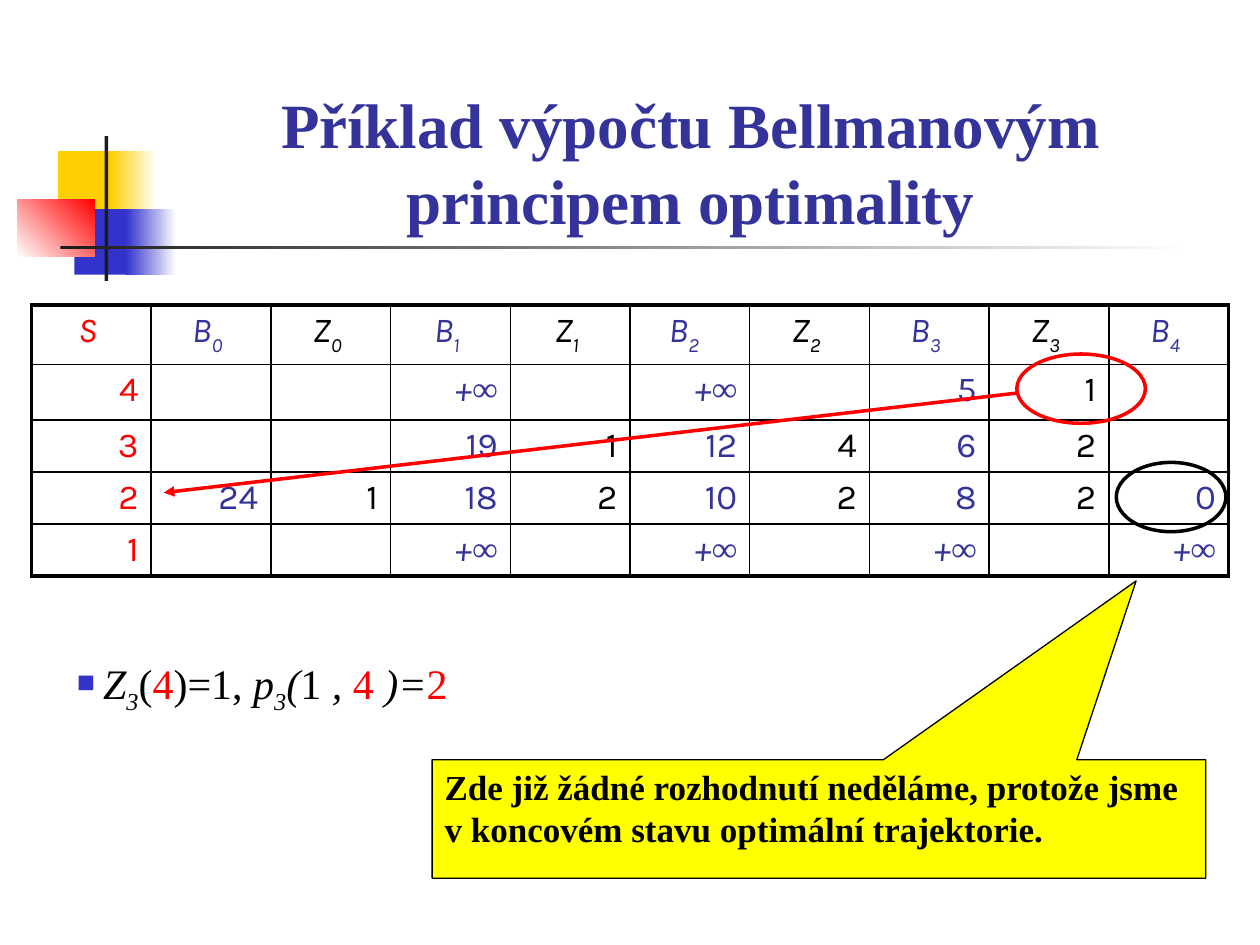
import pptx
import pptx.util
import pptx.dml.color
import pptx.enum.shapes
import pptx.enum.text
import pptx.oxml
import pptx.oxml.ns

Inches = pptx.util.Inches
Pt = pptx.util.Pt
SHAPE = pptx.enum.shapes.MSO_SHAPE
ALIGN = pptx.enum.text.PP_ALIGN
ANCHOR = pptx.enum.text.MSO_ANCHOR
NAMESPACE = pptx.oxml.ns.nsdecls("a")
SERIF = "Times New Roman"
BLACK, RED, BLUE, NAVY = "000000", "FF0000", "3333CC", "333399"


def color(value):
    return pptx.dml.color.RGBColor.from_string(value)


def add_run(paragraph, text, size, font, fill, bold=False, italic=False, baseline=0):
    run = paragraph.add_run()
    run.text = text
    run.font.size = Pt(size)
    run.font.name = font
    run.font.bold = bold
    run.font.italic = italic
    run.font.color.rgb = color(fill)
    if baseline:
        run.font._element.set("baseline", str(baseline * 1000))


presentation = pptx.Presentation()
presentation.slide_width = Inches(10)
presentation.slide_height = Inches(7.5)
slide = presentation.slides.add_slide(presentation.slide_layouts[6])
shapes = slide.shapes

decorations = [
    (0.46, 1.2, 0.48, 0.52, ["FFCF01"], 0),
    (0.88, 1.2, 0.36, 0.52, ["FFCF01", "FFFFFF"], 0),
    (0.59, 1.66, 0.46, 0.52, [BLUE], 0),
    (1, 1.66, 0.4, 0.52, [BLUE, "FFFFFF"], 0),
    (0.14, 1.58, 0.61, 0.46, ["FFFFFF", RED], 45),
    (0.83, 1.08, 0.03, 1.15, ["1C1C1C"], 0),
    (0.48, 1.95, 9, 0.03, ["1C1C1C", "FFFFFF"], 0),
]
for left, top, width, height, colors, angle in decorations:
    block = shapes.add_shape(SHAPE.RECTANGLE, Inches(left), Inches(top), Inches(width), Inches(height))
    block.shadow.inherit = False
    block.line.fill.background()
    if len(colors) == 1:
        block.fill.solid()
        block.fill.fore_color.rgb = color(colors[0])
    else:
        block.fill.gradient()
        block.fill.gradient_angle = angle
        for stop, value in zip(block.fill.gradient_stops, colors):
            stop.color.rgb = color(value)

title = shapes.add_textbox(Inches(1.22), Inches(0.68), Inches(8.52), Inches(1.25))
title.text_frame.word_wrap = True
title.text_frame.vertical_anchor = ANCHOR.BOTTOM
paragraph = title.text_frame.paragraphs[0]
paragraph.alignment = ALIGN.CENTER
add_run(paragraph, "Příklad výpočtu Bellmanovým principem optimality", 36, SERIF, NAVY, bold=True)

headers = ["S", "B0", "Z0", "B1", "Z1", "B2 ", "Z2", "B3", "Z3", "B4"]
rows = [
    headers,
    ["4", "", "", "+∞", "", "+∞", "", "5", "1", ""],
    ["3", "", "", "19", "1", "12", "4", "6", "2", ""],
    ["2", "24", "1", "18", "2", "10", "2", "8", "2", "0"],
    ["1", "", "", "+∞", "", "+∞", "", "+∞", "", "+∞"],
]
row_heights = [0.46, 0.44, 0.41, 0.41, 0.41]
last_row, last_column = len(rows) - 1, len(headers) - 1
table = shapes.add_table(len(rows), len(headers), Inches(0.25), Inches(2.42),
                         Inches(9.5), Inches(sum(row_heights))).table
table.first_row = False
table.horz_banding = False
for column in table.columns:
    column.width = Inches(0.95)
for row_index, values in enumerate(rows):
    table.rows[row_index].height = Inches(row_heights[row_index])
    for column_index, value in enumerate(values):
        cell = table.cell(row_index, column_index)
        cell.margin_left = cell.margin_top = cell.margin_bottom = Inches(0.04)
        cell.margin_right = Inches(0.1)
        cell.fill.background()
        outer_edges = {"L": column_index == 0, "R": column_index == last_column,
                       "T": row_index == 0, "B": row_index == last_row}
        properties = cell._tc.get_or_add_tcPr()
        for position, (side, outer) in enumerate(outer_edges.items()):
            properties.insert(position, pptx.oxml.parse_xml(
                f'<a:ln{side} {NAMESPACE} w="{Pt(2.25 if outer else 1)}"><a:solidFill>'
                f'<a:srgbClr val="{BLACK}"/></a:solidFill></a:ln{side}>'))

        paragraph = cell.text_frame.paragraphs[0]
        paragraph.alignment = ALIGN.CENTER if row_index == 0 else ALIGN.RIGHT
        paragraph._p.get_or_add_pPr().append(pptx.oxml.parse_xml(
            f'<a:spcBef {NAMESPACE}><a:spcPct val="20000"/></a:spcBef>'))
        fill = RED if column_index == 0 else NAVY if column_index % 2 else BLACK
        if row_index == 0:
            add_run(paragraph, value[0], 20, "Karla", fill, italic=True)
            if value[1:]:
                add_run(paragraph, value[1:], 20, "Karla", fill, italic=True, baseline=-30)
        elif value == "+∞":
            add_run(paragraph, "+", 20, "Karla", fill, italic=True)
            add_run(paragraph, "∞", 20, SERIF, fill, italic=True)
        elif value:
            add_run(paragraph, value, 20, "Karla", fill)

for left, top, width, height, outline in [(8.07, 2.81, 1.02, 0.55, RED), (8.86, 3.67, 0.87, 0.55, BLACK)]:
    ring = shapes.add_shape(SHAPE.OVAL, Inches(left), Inches(top), Inches(width), Inches(height))
    ring.shadow.inherit = False
    ring.fill.background()
    ring.line.color.rgb = color(outline)
    ring.line.width = Pt(2)

arrow = shapes.add_connector(pptx.enum.shapes.MSO_CONNECTOR.STRAIGHT,
                             Inches(8.07), Inches(3.12), Inches(1.3), Inches(3.91))
arrow.line.color.rgb = color(RED)
arrow.line.width = Pt(2)
arrow.line._get_or_add_ln().append(pptx.oxml.parse_xml(f'<a:tailEnd {NAMESPACE} type="triangle"/>'))
arrow._element.spPr.append(pptx.oxml.parse_xml(f'<a:effectLst {NAMESPACE}/>'))

formula = shapes.add_textbox(Inches(0.51), Inches(5.17), Inches(3.23), Inches(0.71))
formula.text_frame.word_wrap = True
paragraph = formula.text_frame.paragraphs[0]
properties = paragraph._p.get_or_add_pPr()
properties.set("marL", str(Inches(0.21)))
properties.set("indent", str(-Inches(0.21)))
for markup in [
    f'<a:spcBef {NAMESPACE}><a:spcPct val="20000"/></a:spcBef>',
    f'<a:buClr {NAMESPACE}><a:srgbClr val="{BLUE}"/></a:buClr>',
    f'<a:buSzPct {NAMESPACE} val="60000"/>',
    f'<a:buChar {NAMESPACE} char="■"/>',
]:
    properties.append(pptx.oxml.parse_xml(markup))
formula_parts = [
    ("Z", BLACK, True, 0), ("3", BLACK, True, -25), ("(", BLACK, False, 0),
    ("4", RED, False, 0), (")=1, ", BLACK, False, 0), ("p", BLACK, True, 0),
    ("3", BLACK, True, -25), ("(", BLACK, True, 0), ("1", BLACK, False, 0),
    (" , ", BLACK, True, 0), ("4", RED, False, 0), (" )=", BLACK, True, 0),
    ("2", RED, False, 0),
]
for text, fill, italic, baseline in formula_parts:
    add_run(paragraph, text, 24, SERIF, fill, italic=italic, baseline=baseline)

callout = shapes.add_shape(SHAPE.RECTANGULAR_CALLOUT, Inches(3.43), Inches(6.03), Inches(6.14), Inches(0.94))
callout.shadow.inherit = False
callout.adjustments[0] = 0.41
callout.adjustments[1] = -2.01
callout.fill.solid()
callout.fill.fore_color.rgb = color("FFFF00")
callout.line.color.rgb = color(BLACK)
callout.line.width = Pt(0.75)
callout.text_frame.word_wrap = True
callout.text_frame.vertical_anchor = ANCHOR.TOP
paragraph = callout.text_frame.paragraphs[0]
paragraph.alignment = ALIGN.LEFT
add_run(paragraph, "Zde již žádné rozhodnutí neděláme, protože jsme v koncovém stavu optimální trajektorie.",
        20, SERIF, BLACK, bold=True)

presentation.save("out.pptx")
